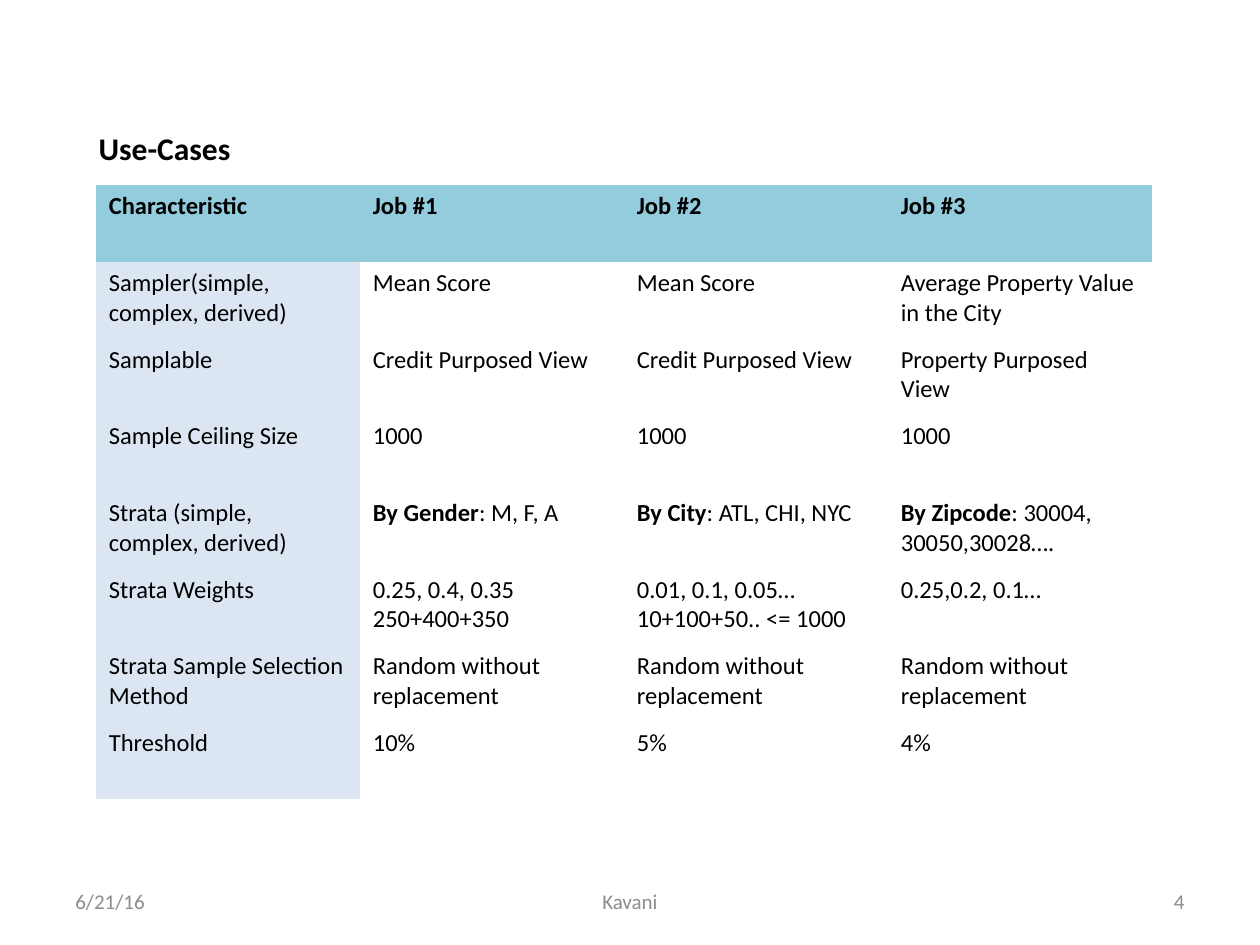
from pptx import Presentation
from pptx.dml.color import RGBColor
from pptx.enum import text as t
from pptx.util import Cm, Pt

BLACK = RGBColor(0x00, 0x00, 0x00)
GRAY = RGBColor(0x8C, 0x8C, 0x8C)
HEADER_BLUE = RGBColor(0x93, 0xCD, 0xDD)
LABEL_BLUE = RGBColor(0xDC, 0xE6, 0xF2)
PLAIN_TABLE = "{2D5ABB26-0587-4C30-8999-92F81FD0307C}"  # no style, no grid

# A bold lead is parted from the rest by "|", a new paragraph by "\n"
USE_CASES = [
    ["Characteristic", "Job #1", "Job #2", "Job #3"],
    ["Sampler(simple, complex, derived)", "Mean Score", "Mean Score",
     "Average Property Value in the City"],
    ["Samplable", "Credit Purposed View", "Credit Purposed View",
     "Property Purposed View"],
    ["Sample Ceiling Size"] + ["1000"] * 3,
    ["Strata (simple, complex, derived)", "By Gender|: M, F, A",
     "By City|: ATL, CHI, NYC", "By Zipcode|: 30004, 30050,30028…."],
    ["Strata Weights", "0.25, 0.4, 0.35\n250+400+350",
     "0.01, 0.1, 0.05…\n10+100+50.. <= 1000", "0.25,0.2, 0.1…"],
    ["Strata Sample Selection Method"] + ["Random without replacement"] * 3,
    ["Threshold", "10%", "5%", "4%"],
]


class SlideBuilder:
    font_name = "Calibri"

    def __init__(self, slide):
        self.slide = slide

    def add_run(self, paragraph, wording, size, color=BLACK, bold=False):
        font = paragraph.add_run().font
        paragraph.runs[-1].text = wording
        for key, value in {"name": self.font_name, "size": Pt(size), "bold": bold}.items():
            setattr(font, key, value)
        font.color.rgb = color

    def text(self, wording, box, size, color=BLACK, bold=False, align=t.PP_ALIGN.LEFT, **frame_format):
        frame = self.slide.shapes.add_textbox(*map(Cm, box)).text_frame
        for key, value in frame_format.items():
            setattr(frame, key, value)
        paragraph = frame.paragraphs[0]
        paragraph.alignment = align
        self.add_run(paragraph, wording, size, color, bold)

    def fill_cell(self, cell, wording, color, bold):
        if color is None:
            cell.fill.background()
        else:
            cell.fill.solid()
            cell.fill.fore_color.rgb = color
        for i, line in enumerate(wording.split("\n")):
            frame = cell.text_frame
            paragraph = frame.add_paragraph() if i else frame.paragraphs[0]
            lead, mark, rest = line.partition("|")
            self.add_run(paragraph, lead, 14, bold=bold or bool(mark))
            if rest:
                self.add_run(paragraph, rest, 14)

    def table(self, rows, box):
        frame = self.slide.shapes.add_table(len(rows), len(rows[0]), *map(Cm, box))
        table = frame.table
        table._tbl.tblPr.find("{*}tableStyleId").text = PLAIN_TABLE
        for r, row in enumerate(rows):
            for c, wording in enumerate(row):
                color = HEADER_BLUE if r == 0 else LABEL_BLUE if c == 0 else None
                self.fill_cell(table.cell(r, c), wording, color, bold=r == 0)


def main():
    deck = Presentation()
    deck.slide_width, deck.slide_height = Cm(25.4), Cm(19.05)
    builder = SlideBuilder(deck.slides.add_slide(deck.slide_layouts[6]))

    # Footer: date, project, slide number
    footer = [
        ("6/21/16", 1.27, 5.93, t.PP_ALIGN.LEFT),
        ("Kavani", 8.68, 8.04, t.PP_ALIGN.CENTER),
        ("4", 18.2, 5.93, t.PP_ALIGN.RIGHT),
    ]
    for wording, left, width, align in footer:
        builder.text(wording, (left, 17.66, width, 1.01), 12, GRAY, align=align,
                     word_wrap=True, vertical_anchor=t.MSO_ANCHOR.MIDDLE)

    # Use-case table
    builder.table(USE_CASES, (1.94, 3.73, 21.29, 12.37))

    # Heading
    builder.text("Use-Cases", (1.74, 2.47, 3.2, 1.03), 18, bold=True,
                 word_wrap=False, auto_size=t.MSO_AUTO_SIZE.SHAPE_TO_FIT_TEXT)

    deck.save("out.pptx")


if __name__ == "__main__":
    main()
